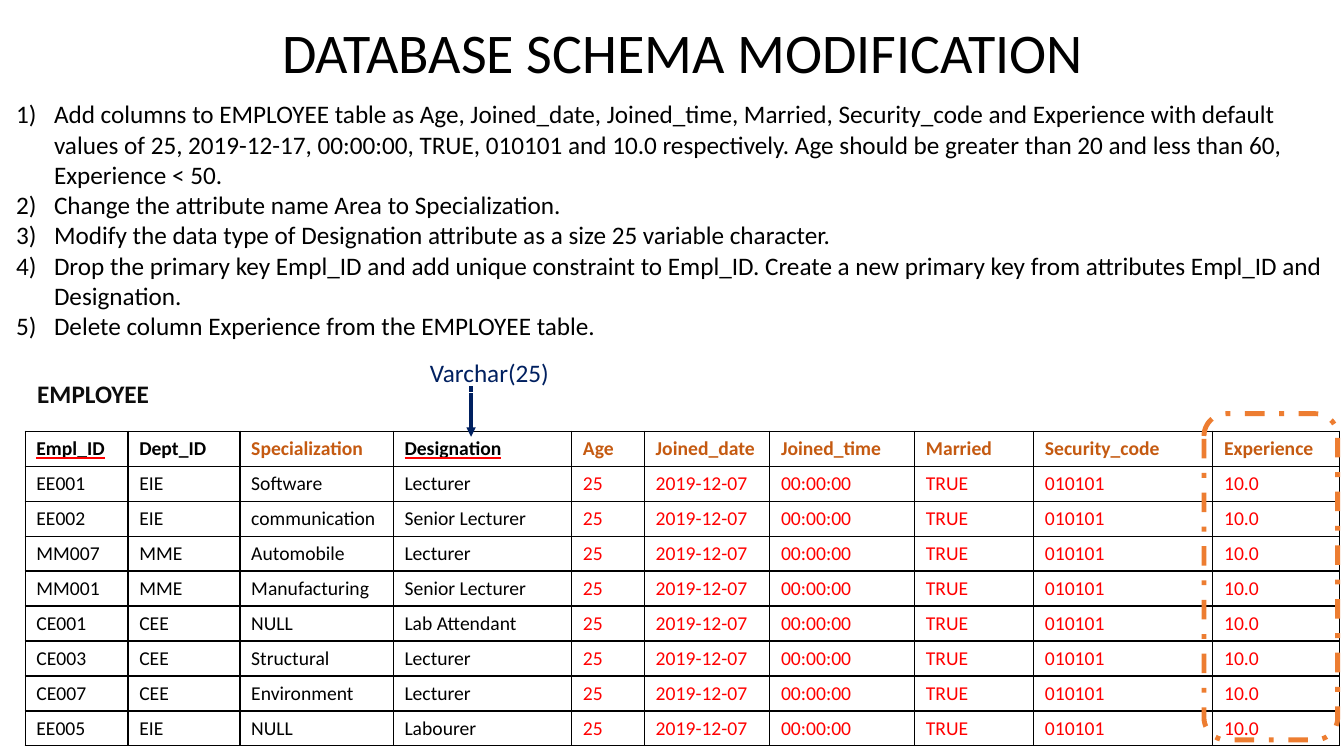
from lxml.etree import SubElement
from pptx import Presentation
from pptx.dml.color import RGBColor
from pptx.enum.dml import MSO_LINE
from pptx.enum.shapes import MSO_CONNECTOR, MSO_SHAPE
from pptx.enum.text import MSO_ANCHOR, PP_ALIGN
from pptx.oxml.ns import qn
from pptx.util import Pt

BLACK, RED, ORANGE, NAVY = "000000", "FF0000", "C55A11", "002060"

TASKS = [
    "Add columns to EMPLOYEE table as Age, Joined_date, Joined_time, Married, "
    "Security_code and Experience with default values of 25, 2019-12-17, 00:00:00, "
    "TRUE, 010101 and 10.0 respectively. Age should be greater than 20 and less "
    "than 60, Experience < 50.",
    "Change the attribute name Area to Specialization.",
    "Modify the data type of Designation attribute as a size 25 variable character.",
    "Drop the primary key Empl_ID and add unique constraint to Empl_ID. Create a new "
    "primary key from attributes Empl_ID and Designation.",
    "Delete column Experience from the EMPLOYEE table.",
]

HEADERS = ["Empl_ID", "Dept_ID", "Specialization", "Designation", "Age",
           "Joined_date", "Joined_time", "Married", "Security_code", "Experience"]
KEYS = {"Empl_ID", "Designation"}
UNCHANGED = {"Empl_ID", "Dept_ID", "Designation"}
EMPLOYEES = [
    ("EE001", "EIE", "Software", "Lecturer"),
    ("EE002", "EIE", "communication", "Senior Lecturer"),
    ("MM007", "MME", "Automobile", "Lecturer"),
    ("MM001", "MME", "Manufacturing", "Senior Lecturer"),
    ("CE001", "CEE", "NULL", "Lab Attendant"),
    ("CE003", "CEE", "Structural", "Lecturer"),
    ("CE007", "CEE", "Environment", "Lecturer"),
    ("EE005", "EIE", "NULL", "Labourer"),
]
DEFAULTS = ("25", "2019-12-07", "00:00:00", "TRUE", "010101", "10.0")
COLUMN_WIDTHS = [73.5, 80, 109.5, 127.5, 52, 89.5, 103.5, 85, 128, 90.5]
ROW_HEIGHT = 25


def rgb(color):
    return RGBColor.from_string(color)


def points(*lengths):
    return [Pt(length) for length in lengths]


def add_run(paragraph, text, size, color=BLACK, bold=False, key=False):
    run = paragraph.add_run()
    run.text = text
    font = run.font
    font.size, font.bold, font.color.rgb = Pt(size), bold, rgb(color)
    if key:
        font.underline = True
        underline = SubElement(font._element, qn("a:uFill"))
        red = SubElement(underline, qn("a:solidFill"))
        SubElement(red, qn("a:srgbClr"), val=RED)
    font.name = "Calibri"


def add_text_box(slide, box):
    frame = slide.shapes.add_textbox(*points(*box)).text_frame
    frame.word_wrap = True
    return frame


def add_title(slide, text, box):
    frame = add_text_box(slide, box)
    frame.vertical_anchor = MSO_ANCHOR.BOTTOM
    title = frame.paragraphs[0]
    title.alignment = PP_ALIGN.CENTER
    title.line_spacing = 0.9
    add_run(title, text, 40)


def add_numbered_list(slide, items, box):
    frame = add_text_box(slide, box)
    for index, item in enumerate(items):
        paragraph = frame.add_paragraph() if index else frame.paragraphs[0]
        properties = paragraph._p.get_or_add_pPr()
        properties.set("marL", str(Pt(27)))
        properties.set("indent", str(Pt(-27)))
        SubElement(properties, qn("a:buFont"), typeface="+mj-lt")
        SubElement(properties, qn("a:buAutoNum"), type="arabicParenR")
        add_run(paragraph, item, 18)


def add_borders(cell):
    properties = cell._tc.get_or_add_tcPr()
    for side in ("a:lnL", "a:lnR", "a:lnT", "a:lnB"):
        border = SubElement(properties, qn(side), w=str(Pt(1)))
        fill = SubElement(border, qn("a:solidFill"))
        SubElement(fill, qn("a:srgbClr"), val=BLACK)


def fill_cell(cell, text, color, bold=False, key=False):
    cell.margin_left = cell.margin_right = Pt(8)
    cell.margin_top = cell.margin_bottom = Pt(4)
    add_borders(cell)
    cell.fill.background()
    add_run(cell.text_frame.paragraphs[0], text, 14, color, bold, key)


def add_employee_table(slide, left, top):
    row_count = len(EMPLOYEES) + 1
    box = points(left, top, sum(COLUMN_WIDTHS), ROW_HEIGHT * row_count)
    table = slide.shapes.add_table(row_count, len(HEADERS), *box).table
    table.first_row = table.horz_banding = False
    for column, width in zip(table.columns, COLUMN_WIDTHS):
        column.width = Pt(width)
    for row in table.rows:
        row.height = Pt(ROW_HEIGHT)
    for column, header in enumerate(HEADERS):
        color = BLACK if header in UNCHANGED else ORANGE
        fill_cell(table.cell(0, column), header, color, True, header in KEYS)
    for row, employee in enumerate(EMPLOYEES, 1):
        for column, value in enumerate(employee + DEFAULTS):
            color = BLACK if column < len(employee) else RED
            fill_cell(table.cell(row, column), value, color)


def add_arrow(slide, start, end, color, width):
    arrow = slide.shapes.add_connector(MSO_CONNECTOR.STRAIGHT, *points(*start, *end))
    arrow.line.color.rgb = rgb(color)
    arrow.line.width = Pt(width)
    SubElement(arrow.line._get_or_add_ln(), qn("a:tailEnd"), type="triangle")
    SubElement(arrow._element.spPr, qn("a:effectLst"))


def add_outline(slide, preset, box, color, width):
    outline = slide.shapes.add_shape(preset, *points(*box))
    outline.shadow.inherit = False
    outline.fill.background()
    outline.line.color.rgb = rgb(color)
    outline.line.width = Pt(width)
    return outline


def main():
    presentation = Presentation()
    presentation.slide_width, presentation.slide_height = points(960, 540)
    slide = presentation.slides.add_slide(presentation.slide_layouts[6])

    add_title(slide, "DATABASE SCHEMA MODIFICATION", (4.5, -10, 966, 75))
    table_name = add_text_box(slide, (19.5, 266.5, 145.5, 29))
    add_run(table_name.paragraphs[0], "EMPLOYEE", 18, "0D0D0D", bold=True)
    add_employee_table(slide, 18, 308)
    add_numbered_list(slide, TASKS, (4.5, 67, 955.5, 181.5))

    add_arrow(slide, (336.5, 276), (336.5, 312), NAVY, 2.25)
    data_type = add_outline(slide, MSO_SHAPE.RECTANGLE, (296, 251.5, 198, 29), "FFFFFF", 0.75)
    data_type.text_frame.word_wrap = True
    data_type.text_frame.vertical_anchor = MSO_ANCHOR.TOP
    label = data_type.text_frame.paragraphs[0]
    label.alignment = PP_ALIGN.LEFT
    add_run(label, " Varchar(25)", 18, NAVY)

    dropped_column = add_outline(
        slide, MSO_SHAPE.ROUNDED_RECTANGLE, (860, 295.5, 95.5, 233), "ED7D31", 3.5)
    dropped_column.line.dash_style = MSO_LINE.DASH_DOT

    presentation.save("out.pptx")


if __name__ == "__main__":
    main()
